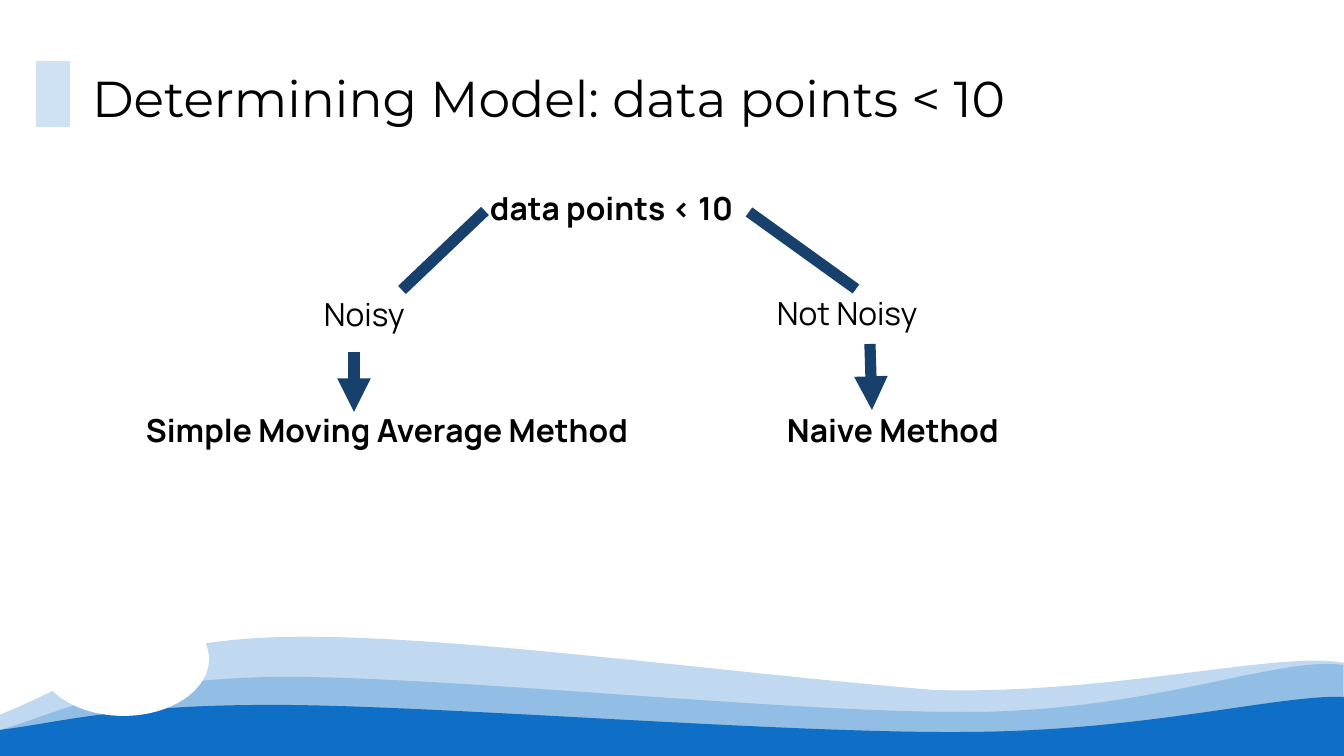
"""Build a decision-tree slide for choosing a model with few data points."""
from dataclasses import dataclass

from lxml import etree
from pptx import Presentation
from pptx import util as u
from pptx.dml.color import RGBColor
from pptx.enum import shapes, text
from pptx.oxml.ns import qn

PX = 914400 / 134.4
WIDTH, HEIGHT = 1344, 756


@dataclass(frozen=True)
class Theme:
    paper: str = "FFFFFF"
    ink: str = "000000"
    wave: str = "0F6FC6"
    accent: str = "CFE2F3"
    branch: str = "17406D"
    title_font: str = "Montserrat"
    label_font: str = "Manrope"
    title_size: int = 27
    label_size: int = 17
    accent_width: int = 18
    branch_width: int = 6


THEME = Theme()

TITLE = ("Determining Model: data points < 10", (83, 58, 1215, 74))
LABELS = [
    ("data points < 10", True, (485, 184, 278, 55)),
    ("Noisy", False, (319, 290, 165, 55)),
    ("Not Noisy", False, (772, 289, 196, 66)),
    ("Simple Moving Average Method", True, (141, 406, 547, 83)),
    ("Naive Method", True, (782, 406, 335, 66)),
]
ACCENT_BAR = (53, 61, 53, 127)
BRANCHES = [
    ((485, 211, 402, 290), False),
    ((749, 212, 856, 289), False),
    ((354, 352, 354, 412), True),
    ((870, 344, 872, 410), True),
]
WAVES = [
    (26, (-1, 715), [
        ((62, 691), (126, 641), (282, 637)),
        ((438, 633), (716, 672), (934, 690)),
        ((1111, 695), (1282, 650), (1344, 663))]),
    (26, (0, 730), [
        ((63, 712), (112, 680), (274, 677)),
        ((437, 675), (798, 714), (976, 712)),
        ((1154, 710), (1279, 656), (1343, 665))]),
    (100, (0, 730), [
        ((63, 722), (122, 704), (284, 705)),
        ((445, 706), (793, 734), (969, 732)),
        ((1146, 731), (1282, 694), (1344, 697))]),
]
CLEARING = (38, 602, 171, 114)


def emu(*lengths):
    return [u.Emu(round(length * PX)) for length in lengths]


def color(value):
    return RGBColor.from_string(value)


def paint(shape, fill, opacity=100):
    shape.shadow.inherit = False
    shape.fill.solid()
    shape.fill.fore_color.rgb = color(fill)
    shape.line.fill.background()
    if opacity < 100:
        tint = shape.fill._xPr.find(qn("a:solidFill"))[0]
        etree.SubElement(tint, qn("a:alpha"), val=str(opacity * 1000))


def add_wave(page, opacity, start, curves):
    outline = page.shapes.build_freeform(*emu(*start), scale=1.0)
    nodes = [curve[-1] for curve in curves] + [(WIDTH, HEIGHT), (0, HEIGHT)]
    outline.add_line_segments([emu(*node) for node in nodes], close=True)
    wave = outline.convert_to_shape()
    segments = list(wave._element.iter(qn("a:lnTo")))
    for segment, curve in zip(segments, curves):
        bend = etree.Element(qn("a:cubicBezTo"))
        for point in curve:
            x, y = emu(*point)
            etree.SubElement(bend, qn("a:pt"), x=str(x - wave.left), y=str(y - wave.top))
        segment.getparent().replace(segment, bend)
    paint(wave, THEME.wave, opacity)


def write(box, words, font, size, inset, bold=False):
    frame = box.text_frame
    frame.word_wrap = True
    frame.auto_size = text.MSO_AUTO_SIZE.NONE
    frame.vertical_anchor = text.MSO_ANCHOR.TOP
    frame.margin_left, frame.margin_top, frame.margin_right, frame.margin_bottom = emu(*[inset] * 4)
    para = frame.paragraphs[0]
    para.alignment = text.PP_ALIGN.LEFT
    span = para.add_run()
    span.text = words
    span.font.name, span.font.size, span.font.bold = font, u.Pt(size), bold
    span.font.color.rgb = color(THEME.ink)


def add_line(page, ends, stroke, width, arrow=False):
    line = page.shapes.add_connector(shapes.MSO_CONNECTOR.STRAIGHT, *emu(*ends))
    line.line.color.rgb = color(stroke)
    line.line.width = u.Pt(width)
    if arrow:
        etree.SubElement(line.line._get_or_add_ln(), qn("a:tailEnd"), type="triangle")
    etree.SubElement(line._element.spPr, qn("a:effectLst"))


def main():
    deck = Presentation()
    deck.slide_width, deck.slide_height = emu(WIDTH, HEIGHT)
    page = deck.slides.add_slide(deck.slide_layouts[5])
    page.background.fill.solid()
    page.background.fill.fore_color.rgb = color(THEME.paper)

    for wave in WAVES:
        add_wave(page, *wave)
    clearing = page.shapes.add_shape(shapes.MSO_SHAPE.OVAL, *emu(*CLEARING))
    paint(clearing, THEME.paper)

    words, place = TITLE
    title = page.shapes.title
    title._element.getparent().append(title._element)
    title.left, title.top, title.width, title.height = emu(*place)
    write(title, words, THEME.title_font, THEME.title_size, 9)
    add_line(page, ACCENT_BAR, THEME.accent, THEME.accent_width)

    for words, bold, place in LABELS:
        box = page.shapes.add_textbox(*emu(*place))
        write(box, words, THEME.label_font, THEME.label_size, 5, bold)
    for ends, arrow in BRANCHES:
        add_line(page, ends, THEME.branch, THEME.branch_width, arrow)

    deck.save("out.pptx")


if __name__ == "__main__":
    main()
